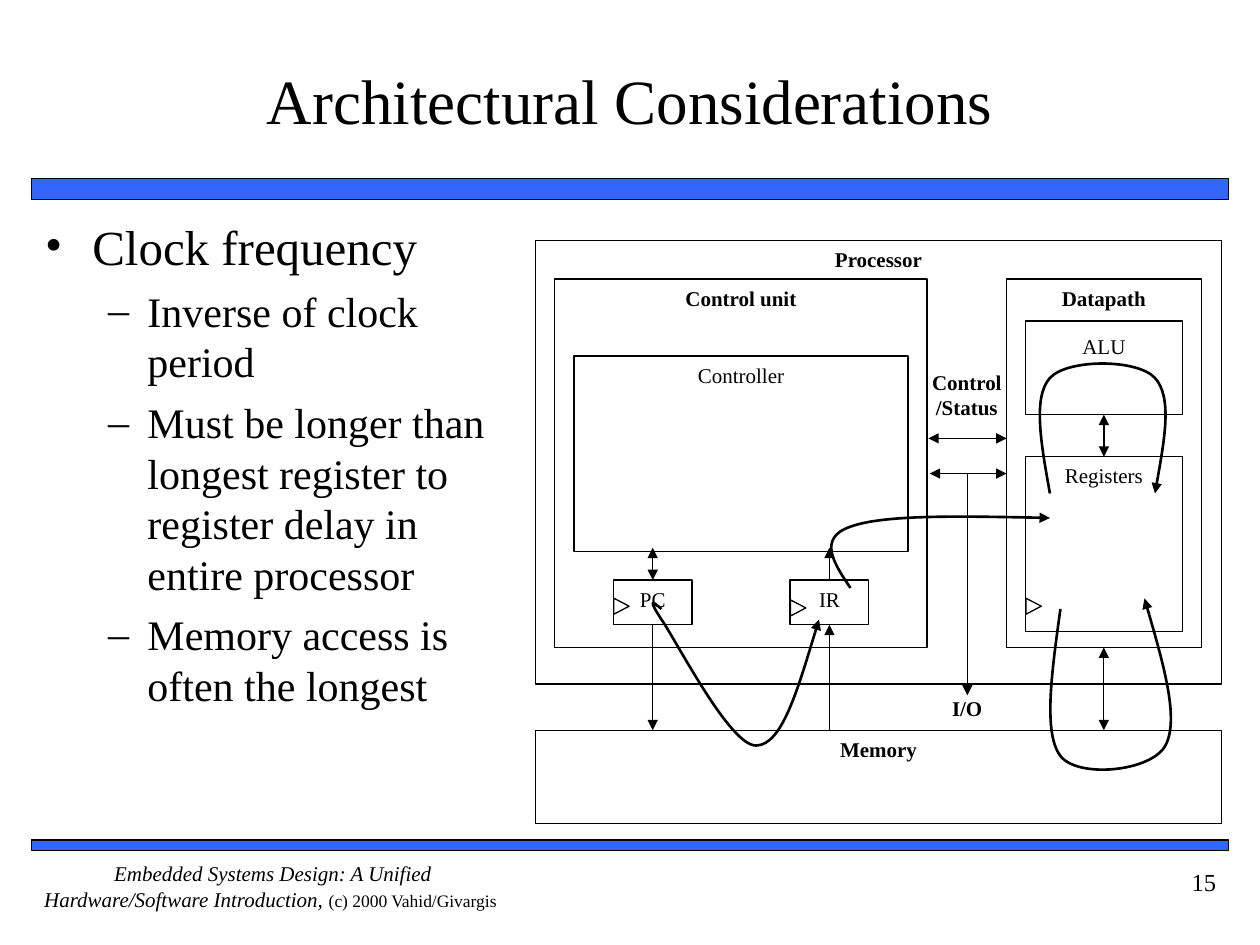
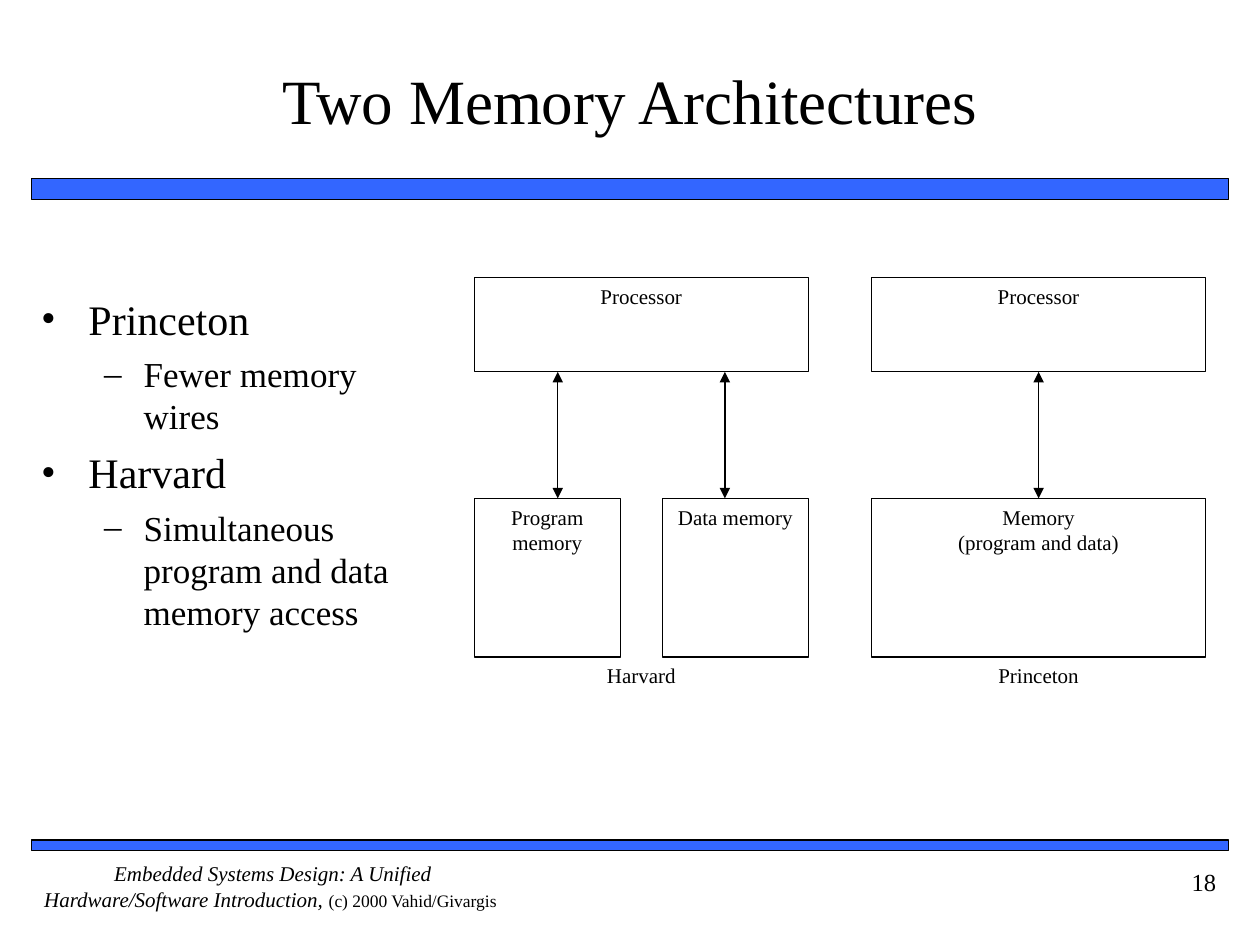
"""Build two slides on processor and memory architecture."""
from dataclasses import dataclass

from lxml.etree import SubElement
from pptx import Presentation
from pptx.dml.color import RGBColor
from pptx.enum.shapes import MSO_CONNECTOR, MSO_SHAPE
from pptx.enum.text import MSO_ANCHOR, PP_ALIGN
from pptx.oxml.ns import qn
from pptx.util import Pt


@dataclass(frozen=True)
class Theme:
    font: str = "Times New Roman"
    ink: RGBColor = RGBColor(0, 0, 0)
    paper: RGBColor = RGBColor(255, 255, 255)
    band: RGBColor = RGBColor(0x33, 0x66, 0xFF)
    title: float = 36
    number: float = 14
    label: float = 12
    credit: float = 10
    thin: float = 0.75
    band_line: float = 1
    curve: float = 1.5


THEME = Theme()
TOP, BOTTOM = 0, 2


def add_run(p, text, size, bold=False, italic=False):
    r = p.add_run()
    r.text = text
    r.font.name = THEME.font
    r.font.size = Pt(size)
    r.font.bold = bold
    r.font.italic = italic
    r.font.color.rgb = THEME.ink


def set_frame(tf, inset_x=7.2, inset_y=3.6, anchor=MSO_ANCHOR.TOP):
    tf.word_wrap = True
    tf.vertical_anchor = anchor
    tf.margin_left = tf.margin_right = Pt(inset_x)
    tf.margin_top = tf.margin_bottom = Pt(inset_y)


def add_lines(tf, lines, size, bold=False):
    for i, line in enumerate(lines):
        p = tf.add_paragraph() if i else tf.paragraphs[0]
        p.alignment = PP_ALIGN.CENTER
        add_run(p, line, size, bold)


def add_text(slide, x, y, w, h, lines=(), size=THEME.label, bold=False, **frame):
    tf = slide.shapes.add_textbox(Pt(x), Pt(y), Pt(w), Pt(h)).text_frame
    set_frame(tf, **frame)
    add_lines(tf, lines, size, bold)
    return tf


def add_preset(slide, preset, x, y, w, h, fill=None, width=THEME.thin):
    sp = slide.shapes.add_shape(preset, Pt(x), Pt(y), Pt(w), Pt(h))
    sp.shadow.inherit = False
    if fill is None:
        sp.fill.background()
    else:
        sp.fill.solid()
        sp.fill.fore_color.rgb = fill
    sp.line.color.rgb = THEME.ink
    sp.line.width = Pt(width)
    return sp


def add_box(slide, x, y, w, h, *lines, bold=False, inset_top=3.6):
    sp = add_preset(slide, MSO_SHAPE.RECTANGLE, x, y, w, h, THEME.paper)
    set_frame(sp.text_frame)
    sp.text_frame.margin_top = Pt(inset_top)
    add_lines(sp.text_frame, lines, THEME.label, bold)
    return sp


def add_clock_mark(slide, x, y):
    sp = add_preset(slide, MSO_SHAPE.ISOSCELES_TRIANGLE, x, y, 9.2, 8.8)
    sp.rotation = 90


def set_arrowheads(line, *ends):
    ln = line._get_or_add_ln()
    for end in ends:
        SubElement(ln, qn(f"a:{end}"), type="triangle")


def add_arrow(slide, start, stop, both=False, begin=None, end=None):
    """Draw an arrow; begin and end are optional (shape, side) joints."""
    points = [Pt(v) for v in (*start, *stop)]
    cxn = slide.shapes.add_connector(MSO_CONNECTOR.STRAIGHT, *points)
    if begin:
        cxn.begin_connect(*begin)
    if end:
        cxn.end_connect(*end)
    cxn.line.color.rgb = THEME.ink
    cxn.line.width = Pt(THEME.thin)
    set_arrowheads(cxn.line, *(["headEnd"] if both else []), "tailEnd")
    SubElement(cxn._element.spPr, qn("a:effectLst"))


def add_curve(slide, start, *controls):
    """Draw a Bezier arrow; each three control points make one segment."""
    builder = slide.shapes.build_freeform(*(Pt(v) for v in start))
    builder.add_line_segments([(Pt(x), Pt(y)) for x, y in controls], close=False)
    sp = builder.convert_to_shape()
    steps = list(sp._element.iter(qn("a:lnTo")))
    outline = steps[0].getparent()
    for i in range(0, len(steps), 3):
        bezier = SubElement(outline, qn("a:cubicBezTo"))
        for step in steps[i:i + 3]:
            bezier.append(step[0])
            outline.remove(step)
    sp.shadow.inherit = False
    sp.fill.background()
    sp.line.color.rgb = THEME.ink
    sp.line.width = Pt(THEME.curve)
    set_arrowheads(sp.line, "tailEnd")


def add_bullets(slide, x, y, w, h, items, sizes, gaps):
    """Fill a two-level list; sizes and gaps are given per level."""
    marks = (("•", 27, -27), ("–", 58.5, -22.5))
    tf = add_text(slide, x, y, w, h)
    for i, (level, text) in enumerate(items):
        p = tf.add_paragraph() if i else tf.paragraphs[0]
        mark, left, indent = marks[level]
        p.level = level
        p.space_before = Pt(gaps[level])
        pPr = p._p.get_or_add_pPr()
        pPr.set("marL", str(Pt(left)))
        pPr.set("indent", str(Pt(indent)))
        SubElement(pPr, qn("a:buFont"), typeface=THEME.font)
        SubElement(pPr, qn("a:buChar"), char=mark)
        add_run(p, text, sizes[level])


def add_base(prs, title, number):
    """Add a slide with the shared bands, title, footer and number."""
    slide = prs.slides.add_slide(prs.slide_layouts[6])
    for y, h in ((102, 12), (480, 6)):
        add_preset(slide, MSO_SHAPE.RECTANGLE, 18, y, 684, h, THEME.band, THEME.band_line)
    p = add_text(slide, 18, 492, 276, 36, inset_x=0, inset_y=0).paragraphs[0]
    p.alignment = PP_ALIGN.CENTER
    add_run(p, "Embedded Systems Design: A Unified Hardware/Software Introduction, ",
            THEME.label, italic=True)
    add_run(p, "(c) 2000 Vahid/Givargis", THEME.credit)
    add_run(p, " ", THEME.label)
    add_text(slide, 30, 12, 660, 90, [title], THEME.title, inset_x=0,
             anchor=MSO_ANCHOR.MIDDLE)
    p = add_text(slide, 630, 492, 72, 36).paragraphs[0]
    p.alignment = PP_ALIGN.RIGHT
    p.space_before = Pt(8.8)
    add_run(p, number, THEME.number)
    return slide


def add_processor(slide):
    """Draw the processor, its memory and the transfers between registers."""
    add_box(slide, 306, 137.3, 392, 253.5, "Processor", bold=True)
    add_box(slide, 317, 159.5, 212.8, 210.5, "Control unit", bold=True)
    datapath = add_box(slide, 575, 159.5, 111.5, 210.5, "Datapath", bold=True)
    alu = add_box(slide, 586, 183.5, 89.6, 53.5, "ALU", inset_top=7.2)
    registers = add_box(slide, 586, 261, 89.6, 99.7, "Registers")
    pc = add_box(slide, 350.5, 331.5, 45, 25.5, "PC")
    ir = add_box(slide, 451.5, 331.5, 45, 25.5, "IR")
    add_box(slide, 328, 203.5, 191, 111.5, "Controller")
    memory_top = 417.3
    add_box(slide, 306, memory_top, 392, 53.2, "Memory", bold=True)

    add_arrow(slide, (474, 331.5), (474, 313), begin=(ir, TOP))
    add_arrow(slide, (373, 331.5), (373, 313), both=True, begin=(pc, TOP))
    add_arrow(slide, (630.8, 237), (630.8, 261), both=True,
              begin=(alu, BOTTOM), end=(registers, TOP))
    add_arrow(slide, (630.75, 370), (630.75, memory_top), both=True,
              begin=(datapath, BOTTOM))
    add_arrow(slide, (373, 357), (373, memory_top), begin=(pc, BOTTOM))
    add_arrow(slide, (474, memory_top), (474, 357), end=(ir, BOTTOM))
    add_arrow(slide, (530.5, 250.5), (575.2, 250.5), both=True)
    for stop in ((575.2, 270.6), (531.3, 270.6), (552.8, 397.4)):
        add_arrow(slide, (552.8, 270.6), stop)

    add_text(slide, 535.7, 397.4, 34, 20, ["I/O"], bold=True, inset_x=0, inset_y=0)
    add_text(slide, 530, 211, 45, 40, ["Control", "/Status"], bold=True,
             inset_x=0, inset_y=0)
    for x, y in ((350.5, 342), (451.5, 343), (586, 342)):
        add_clock_mark(slide, x, y)

    add_curve(slide, (378, 348), (373.5, 344), (369.5, 341), (378, 354),
              (387, 367), (417, 426), (432, 426), (447, 426), (457, 390), (468, 354))
    add_curve(slide, (486, 336), (476.5, 322), (467, 307.5), (486, 301),
              (505, 294), (552, 295), (600, 296))
    add_curve(slide, (600, 282), (595, 254), (590, 227), (600, 216),
              (610, 205), (650, 205), (660, 216), (670, 227), (665, 254), (660, 282))
    add_curve(slide, (606, 348), (601, 384), (596, 419), (606, 432),
              (616, 445), (658, 441), (666, 426), (674, 411), (664, 376.5), (654, 342))


def add_memory_design(slide, x, name, memories):
    """Draw one processor above its equally wide memories."""
    w, gap, top, bottom = 191, 24, 158.5, 284.8
    add_box(slide, x, top, w, 54, "Processor")
    part = (w - gap * (len(memories) - 1)) / len(memories)
    for i, lines in enumerate(memories):
        add_box(slide, x + i * (part + gap), bottom, part, 90.7, *lines)
        mid = x + w * (2 * i + 1) / (2 * len(memories))
        add_arrow(slide, (mid, top + 54), (mid, bottom), both=True)
    add_text(slide, x, 375, w, 54, [name])


def main():
    prs = Presentation()
    prs.slide_width, prs.slide_height = Pt(720), Pt(540)

    slide = add_base(prs, "Architectural Considerations", "15")
    add_bullets(slide, 18.7, 120, 280, 354, [
        (0, "Clock frequency"),
        (1, "Inverse of clock period"),
        (1, "Must be longer than longest register to register delay in entire processor"),
        (1, "Memory access is often the longest"),
    ], sizes=(28, 24), gaps=(7, 6))
    add_processor(slide)

    slide = add_base(prs, "Two Memory Architectures", "18")
    add_memory_design(slide, 271, "Harvard", [["Program memory"], ["Data memory"]])
    add_memory_design(slide, 498, "Princeton", [["Memory", "(program and data)"]])
    add_bullets(slide, 16.5, 164, 235.5, 276.5, [
        (0, "Princeton"),
        (1, "Fewer memory wires"),
        (0, "Harvard"),
        (1, "Simultaneous program and data memory access"),
    ], sizes=(24, 20), gaps=(6, 5))

    prs.save("out.pptx")


if __name__ == "__main__":
    main()
